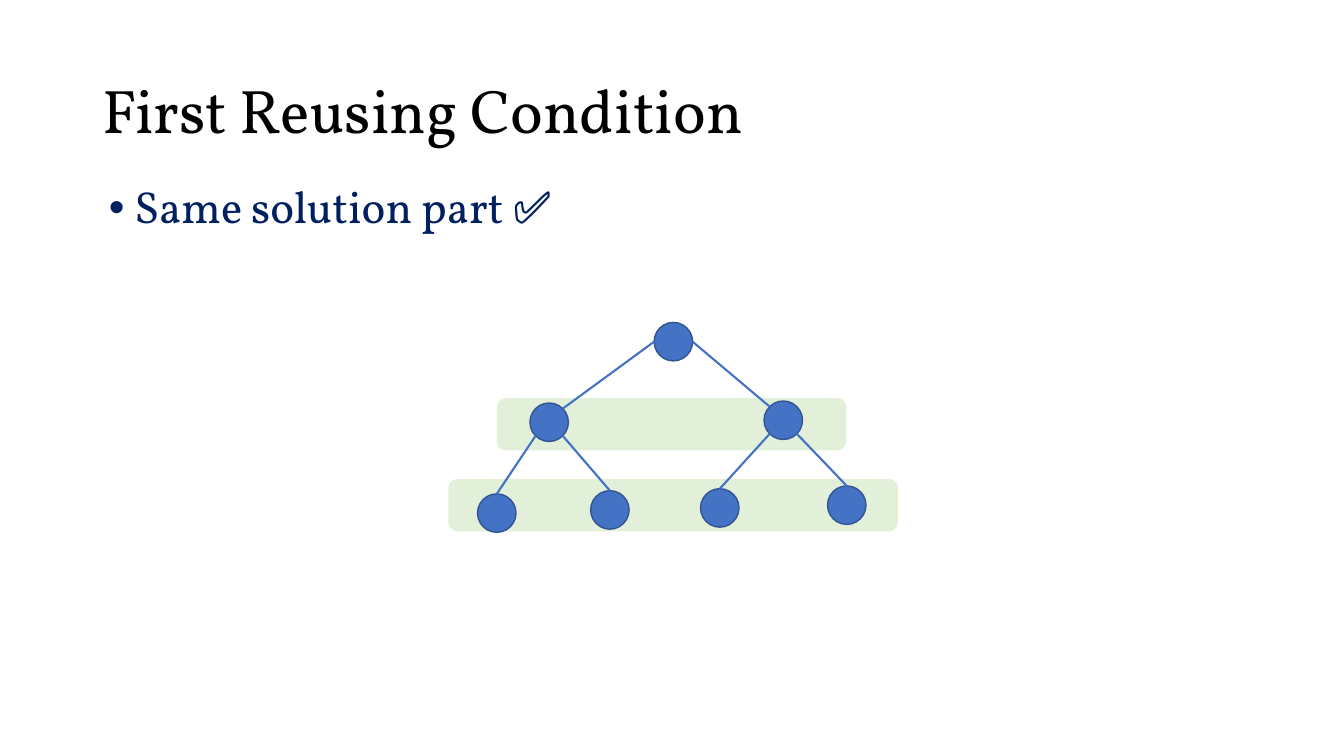
"""Build a slide that shows the first reusing condition on a binary tree."""
import math

import lxml.etree
import pptx
import pptx.dml.color
import pptx.enum.shapes
import pptx.enum.text
import pptx.oxml.ns
import pptx.util

Cm = pptx.util.Cm
Pt = pptx.util.Pt
qn = pptx.oxml.ns.qn


def paint(color_format, value):
    color_format.rgb = pptx.dml.color.RGBColor.from_string(value)


class TreeSlide:
    """Hold the style and the current page, and draw each kind of element."""

    font = "Vollkorn"
    node_fill = "4472C4"
    node_line = "325491"
    band_fill = "E2F0D9"
    node_size = 0.97

    def __init__(self, deck):
        self.page = deck.slides.add_slide(deck.slide_layouts[1])

    def fill_text(self, box, bounds, text, size, color):
        box.left, box.top, box.width, box.height = map(Cm, bounds)
        frame = box.text_frame
        frame.word_wrap = True
        frame.auto_size = pptx.enum.text.MSO_AUTO_SIZE.NONE
        frame.vertical_anchor = pptx.enum.text.MSO_ANCHOR.MIDDLE
        para = frame.paragraphs[0]
        para.alignment = pptx.enum.text.PP_ALIGN.LEFT
        para.line_spacing = 0.9
        para.space_before = Pt(0)
        span = para.add_run()
        span.text = text
        span.font.name = self.font
        span.font.size = Pt(size)
        paint(span.font.color, color)
        return para

    def title(self, text):
        box = self.page.shapes.title
        self.fill_text(box, (2.33, 1.01, 29.21, 3.68), text, 44, "000000")

    def bullet(self, text):
        box = self.page.placeholders[1]
        para = self.fill_text(box, (1.22, 2.21, 29.21, 6.12), text, 32, "002060")
        para.level = 1
        properties = para._p.get_or_add_pPr()
        properties.set("marL", str(Cm(1.91)))
        properties.set("indent", str(Cm(-0.64)))
        lxml.etree.SubElement(properties, qn("a:buFont"), typeface="Arial")
        lxml.etree.SubElement(properties, qn("a:buChar"), char="•")

    def shape(self, kind, bounds, fill):
        shape = self.page.shapes.add_shape(kind, *map(Cm, bounds))
        shape.shadow.inherit = False
        shape.fill.solid()
        paint(shape.fill.fore_color, fill)
        return shape

    def band(self, left, top, width):
        kind = pptx.enum.shapes.MSO_SHAPE.ROUNDED_RECTANGLE
        band = self.shape(kind, (left, top, width, 1.32), self.band_fill)
        band.line.fill.background()

    def node(self, center):
        size = self.node_size
        bounds = (center[0] - size / 2, center[1] - size / 2, size, size)
        node = self.shape(pptx.enum.shapes.MSO_SHAPE.OVAL, bounds, self.node_fill)
        paint(node.line.color, self.node_line)
        node.line.width = Pt(1)

    def rim(self, center, degrees):
        angle = math.radians(degrees)
        radius = self.node_size / 2
        return (Cm(center[0] + radius * math.cos(angle)),
                Cm(center[1] + radius * math.sin(angle)))

    def edge(self, parent, leave, child, arrive):
        kind = pptx.enum.shapes.MSO_CONNECTOR.STRAIGHT
        ends = self.rim(parent, leave) + self.rim(child, arrive)
        edge = self.page.shapes.add_connector(kind, *ends)
        paint(edge.line.color, self.node_fill)
        edge.line.width = Pt(1.5)
        lxml.etree.SubElement(edge._element.spPr, qn("a:effectLst"))


def main():
    deck = pptx.Presentation()
    deck.slide_width, deck.slide_height = Cm(33.87), Cm(19.05)
    slide = TreeSlide(deck)
    slide.title("First Reusing Condition")
    slide.bullet("Same solution part ✅")

    slide.band(11.3, 12.07, 11.33)
    slide.band(12.52, 10.03, 8.81)

    root = (16.97, 8.61)
    left, right = (13.84, 10.64), (19.74, 10.59)
    leaves = [(12.52, 12.93), (15.37, 12.85), (18.14, 12.8), (21.34, 12.73)]
    for center in [root, left, right, *leaves]:
        slide.node(center)

    slide.edge(root, 180, left, 315)
    slide.edge(root, 0, right, 225)
    for parent, children in ((left, leaves[:2]), (right, leaves[2:])):
        for child, leave in zip(children, (135, 45)):
            slide.edge(parent, leave, child, 270)

    deck.save("out.pptx")


if __name__ == "__main__":
    main()
